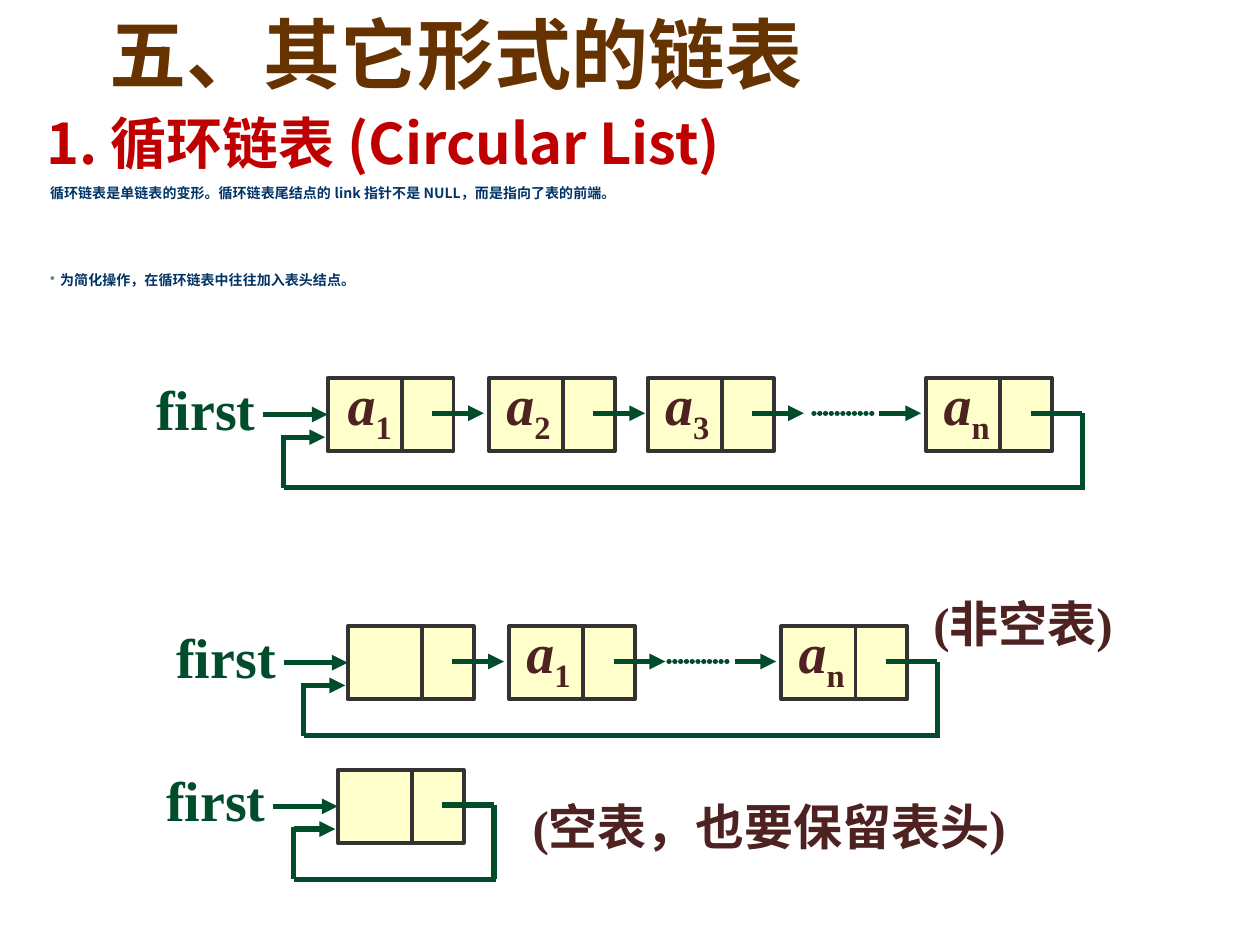
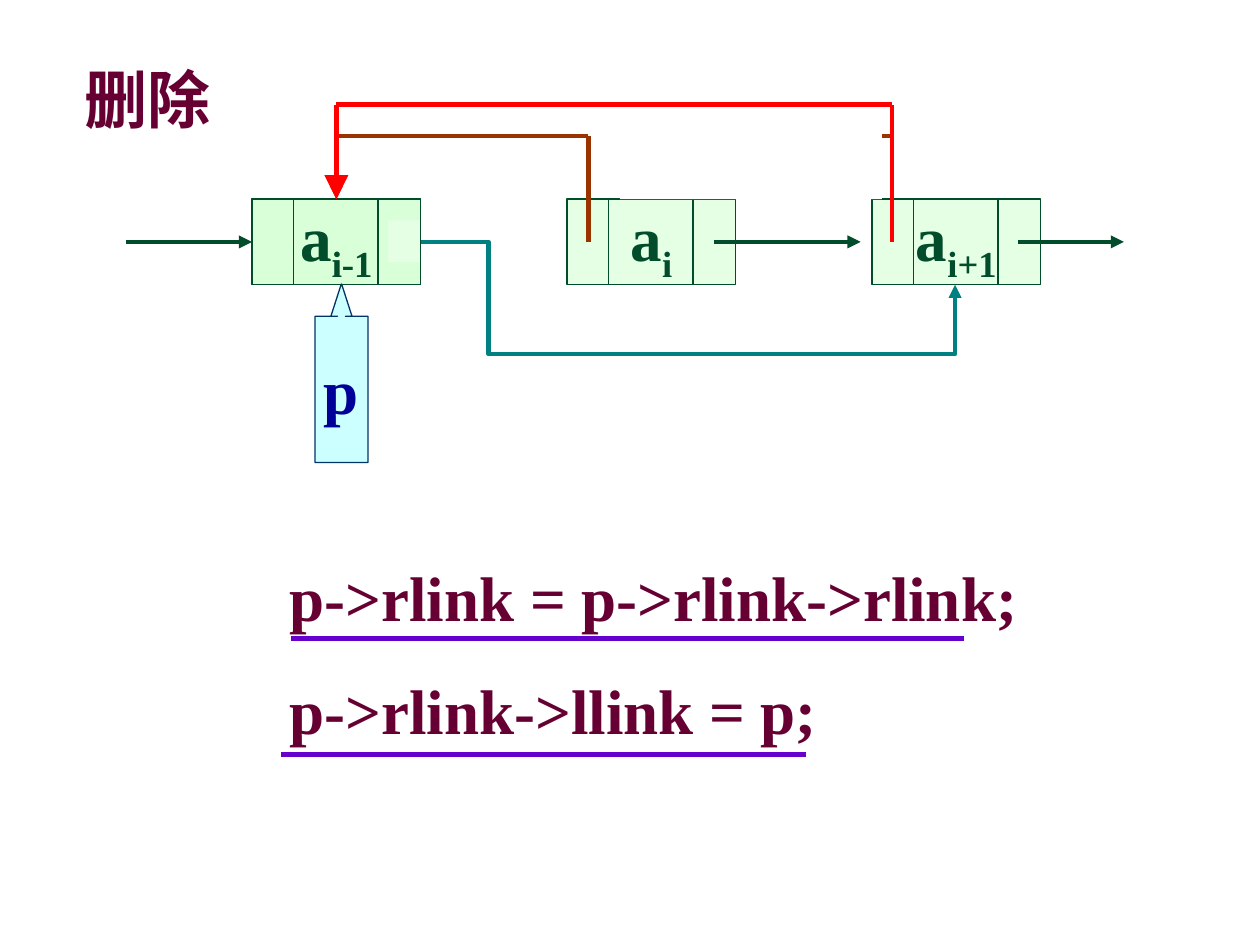
from dataclasses import dataclass
from itertools import pairwise
from typing import Any, Optional

from lxml.etree import SubElement
from pptx import Presentation
from pptx.dml.color import RGBColor
from pptx.enum.shapes import MSO_CONNECTOR, MSO_SHAPE
from pptx.enum.text import MSO_ANCHOR, MSO_AUTO_SIZE, PP_ALIGN
from pptx.oxml.ns import qn
from pptx.util import Pt

PX = 9144  # 100 px to the inch
SANS, SERIF = "Noto Sans CJK SC", "Times New Roman"
COLORS = {
    "title": "663300", "heading": "C00000", "body": "003366", "bullet": "578963",
    "link": "004C2B", "cell": "FFFFCC", "edge": "333333", "data": "4F2222",
    "double_cell": "CCFFCC", "code": "660033", "underline": "6600CC",
    "old_link": "993300", "new_left": "FF0000", "new_right": "008080",
    "callout": "CCFFFF", "callout_edge": "003366", "pointer": "000099",
    "white": "FFFFFF",
}


@dataclass(frozen=True)
class Style:
    size: int
    color: str
    font: str = SERIF
    italic: bool = False


@dataclass(frozen=True)
class Stroke:
    color: str
    width: float
    head: str = ""  # arrowhead size: med or lg
    dotted: bool = False


@dataclass(frozen=True)
class Box:
    x: int
    y: int
    w: int
    h: int


@dataclass(frozen=True)
class Node:
    x: int
    sub: str = ""
    label_dx: int = 4


@dataclass(frozen=True)
class Chain:
    y: int
    nodes: tuple[Node, ...]


TITLE = Style(44, "title")
HEADING = Style(32, "heading", SANS)
BODY = Style(8, "body", SANS)
FIRST = Style(32, "link")
DATA = Style(32, "data", italic=True)
NOTE = Style(28, "data")
CODE = Style(36, "code")
DOUBLE = Style(36, "link")
POINTER = Style(36, "pointer")

LINK = Stroke("link", 3)
ARROW = Stroke("link", 3, "med")
DOTS = Stroke("link", 3, dotted=True)
CELL_EDGE = Stroke("edge", 2.25)
THIN = Stroke("link", 0.75)
DOUBLE_ARROW = Stroke("link", 2.5, "med")
OLD_LINK = Stroke("old_link", 2.5)
UNDERLINE = Stroke("underline", 3)

CHAINS = (
    Chain(300, (Node(260, "1", 6), Node(388, "2"), Node(514, "3"), Node(735, "n"))),
    Chain(497, (Node(276), Node(404, "1"), Node(620, "n"))),
    Chain(611, (Node(268),)),
)

# Doubly linked nodes: shared top, size and link height
TOP, WIDTH, HEIGHT = 158, 134, 68
BOTTOM, MID_Y = TOP + HEIGHT, TOP + HEIGHT // 2


def rgb(name: str) -> RGBColor:
    return RGBColor.from_string(COLORS[name])


def set_format(obj: Any, values: dict[str, Any]) -> None:
    for key, value in values.items():
        setattr(obj, key, value)


# Text
def add_run(p: Any, text: str, style: Style, subscript: bool = False) -> None:
    r = p.add_run()
    r.text = text
    set_format(r.font, {"size": Pt(style.size), "name": style.font, "bold": True,
                        "italic": style.italic and not subscript})
    r.font.color.rgb = rgb(style.color)
    rPr = r._r.get_or_add_rPr()
    SubElement(rPr, qn("a:ea")).set("typeface", SANS)
    if subscript:
        rPr.set("baseline", "-25000")


def add_label(p: Any, text: str, style: Style, sub: str = "") -> None:
    add_run(p, text, style)
    if sub:
        add_run(p, sub, style, subscript=True)


def add_text(shapes: Any, box: Box, lines: tuple[str, ...], style: Style, sub: str = "",
             **frame: Any) -> Any:
    sp = shapes.add_textbox(box.x * PX, box.y * PX, box.w * PX, box.h * PX)
    tf = sp.text_frame
    set_format(tf, {"word_wrap": False, "auto_size": MSO_AUTO_SIZE.SHAPE_TO_FIT_TEXT} | frame)
    for i, line in enumerate(lines):
        p = tf.add_paragraph() if i else tf.paragraphs[0]
        add_label(p, line, style, sub)
    return tf


# Shapes and lines
def add_box(shapes: Any, box: Box, fill: str, stroke: Optional[Stroke] = None,
            kind: MSO_SHAPE = MSO_SHAPE.RECTANGLE) -> Any:
    sp = shapes.add_shape(kind, box.x * PX, box.y * PX, box.w * PX, box.h * PX)
    sp.shadow.inherit = False
    sp.fill.solid()
    sp.fill.fore_color.rgb = rgb(fill)
    if stroke:
        sp.line.color.rgb = rgb(stroke.color)
        sp.line.width = Pt(stroke.width)
    else:
        sp.line.fill.background()
    return sp


def center_label(sp: Any, text: str, style: Style, sub: str = "") -> None:
    tf = sp.text_frame
    set_format(tf, {"word_wrap": False, "vertical_anchor": MSO_ANCHOR.MIDDLE})
    p = tf.paragraphs[0]
    p.alignment = PP_ALIGN.CENTER
    add_label(p, text, style, sub)


def add_line(shapes: Any, x1: int, y1: int, x2: int, y2: int, stroke: Stroke,
             kind: MSO_CONNECTOR = MSO_CONNECTOR.STRAIGHT) -> Any:
    c = shapes.add_connector(kind, x1 * PX, y1 * PX, x2 * PX, y2 * PX)
    c.line.color.rgb = rgb(stroke.color)
    c.line.width = Pt(stroke.width)
    ln = c.line._get_or_add_ln()
    if stroke.dotted:
        ln.set("cap", "rnd")
        dash = SubElement(SubElement(ln, qn("a:custDash")), qn("a:ds"))
        dash.set("d", "100000")
        dash.set("sp", "10000")
    if stroke.head:
        tail = SubElement(ln, qn("a:tailEnd"))
        for key, value in {"type": "triangle", "w": stroke.head, "len": stroke.head}.items():
            tail.set(key, value)
    SubElement(c._element.spPr, qn("a:effectLst"))
    return c


def add_route(shapes: Any, points: tuple[tuple[int, int], ...], stroke: Stroke,
              head: str) -> Any:
    """Straight segments through the points, with an arrowhead on the last."""
    for (x1, y1), (x2, y2) in pairwise(points[:-1]):
        add_line(shapes, x1, y1, x2, y2, stroke)
    return add_line(shapes, *points[-2], *points[-1], Stroke(stroke.color, stroke.width, head))


# Circular lists
def add_node(shapes: Any, node: Node, y: int) -> Any:
    sp = add_box(shapes, Box(node.x, y, 100, 58), "cell", CELL_EDGE)
    add_line(shapes, node.x + 59, y, node.x + 59, y + 58, CELL_EDGE)
    if node.sub:
        add_text(shapes, Box(node.x + node.label_dx, y - 12, 58, 71), ("a",), DATA, node.sub)
    return sp


def add_chain(s: Any, chain: Chain) -> None:
    shapes = s.shapes.add_group_shape().shapes
    y, x, last = chain.y, chain.nodes[0].x, chain.nodes[-1].x
    link_y, bottom = y + 28, y + 87
    boxes = [add_node(shapes, node, y) for node in chain.nodes]

    # Pointer to the first node
    add_text(shapes, Box(x - 146, y - 8, 99, 64), ("first",), FIRST)
    c = add_line(shapes, x - 51, y + 29, x, y + 29, ARROW)
    c.end_connect(boxes[0], 1)

    # Links between nodes
    for node in chain.nodes:
        stroke = LINK if node is chain.nodes[-1] else ARROW
        add_line(shapes, node.x + 83, link_y, node.x + 124, link_y, stroke)
    if len(chain.nodes) > 1:
        add_line(shapes, last - 89, link_y, last - 39, link_y, DOTS)
        add_line(shapes, last - 37, link_y, last - 4, link_y, ARROW)

    # Way back from the last node to the first
    add_line(shapes, last + 124, link_y, last + 124, bottom, LINK)
    add_line(shapes, x - 35, bottom, last + 126, bottom, LINK)
    add_line(shapes, x - 35, y + 45, x - 35, bottom, LINK)
    add_line(shapes, x - 35, y + 47, x - 2, y + 47, ARROW)


def build_circular(s: Any) -> None:
    add_text(s.shapes, Box(27, 52, 835, 92), ("1. 循环链表 (Circular List)",), HEADING,
             word_wrap=True, auto_size=MSO_AUTO_SIZE.NONE, vertical_anchor=MSO_ANCHOR.BOTTOM)
    tf = add_text(s.shapes, Box(0, 143, 1000, 130), (
        "循环链表是单链表的变形。循环链表尾结点的 link 指针不是 NULL，而是指向了表的前端。",
        "为简化操作，在循环链表中往往加入表头结点。",
    ), BODY, word_wrap=True, auto_size=MSO_AUTO_SIZE.NONE)
    for p, before in zip(tf.paragraphs, (0, 41)):
        set_format(p, {"line_spacing": 0.9, "space_before": Pt(before)})
        pPr = p._p.get_or_add_pPr()
        pPr.set("marL", str(38 * PX))
        pPr.set("indent", str(-8 * PX))
    color = SubElement(SubElement(pPr, qn("a:buClr")), qn("a:srgbClr"))
    color.set("val", COLORS["bullet"])
    SubElement(pPr, qn("a:buChar")).set("char", "•")

    for chain in CHAINS:
        add_chain(s, chain)
    add_text(s.shapes, Box(413, 627, 416, 57), ("(空表，也要保留表头)",), NOTE)
    add_text(s.shapes, Box(731, 466, 183, 57), ("(非空表)",), NOTE)
    add_text(s.shapes, Box(77, 0, 574, 84), ("五、其它形式的链表",), TITLE)


# Doubly linked list
def add_double_node(shapes: Any, x: int, sub: str, divided: bool = True) -> Any:
    sp = add_box(shapes, Box(x, TOP, WIDTH, HEIGHT), "double_cell", THIN)
    color = sp.fill._xPr.find(qn("a:solidFill"))[0]
    SubElement(color, qn("a:alpha")).set("val", "50000")
    center_label(sp, "a", DOUBLE, sub)
    for dx in (33, 100) if divided else ():
        add_line(shapes, x + dx, TOP, x + dx, BOTTOM, THIN)
    return sp


def build_deletion(s: Any) -> None:
    shapes = s.shapes
    add_text(shapes, Box(57, 43, 122, 70), ("删除",), CODE)

    # Nodes and their right links
    group = shapes.add_group_shape().shapes
    previous = add_double_node(group, 200, "i-1", divided=False)
    c = add_line(group, 100, MID_Y, 200, MID_Y, DOUBLE_ARROW)
    c.end_connect(previous, 1)
    add_double_node(shapes.add_group_shape().shapes, 450, "i")
    group = shapes.add_group_shape().shapes
    add_double_node(group, 692, "i+1")
    for x1, x2 in ((567, 683), (808, 892)):
        add_line(group, x1, MID_Y, x2, MID_Y, DOUBLE_ARROW)

    # Statements
    tf = add_text(shapes, Box(220, 408, 600, 190),
                  ("p->rlink = p->rlink->rlink;", "p->rlink->llink = p;"), CODE)
    for p in tf.paragraphs:
        p.line_spacing = 1.5
    for x1, x2, y in ((231, 765, 507), (223, 640, 599)):
        add_line(shapes, x1, y, x2, y, UNDERLINE)

    # Old left links and the pointer p
    add_line(shapes, 708, 108, 517, 108, OLD_LINK)
    add_box(shapes, Box(308, 175, 133, 33), "white")
    sp = add_box(shapes, Box(250, 225, 42, 142), "callout", Stroke("callout_edge", 0.75),
                 MSO_SHAPE.UP_ARROW_CALLOUT)
    for i, value in enumerate((0.15, 0.2, 0.62, 1.25)):
        sp.adjustments[i] = value
    center_label(sp, "p", POINTER)
    old_left = add_route(shapes.add_group_shape().shapes,
                         ((467, MID_Y), (467, 108), (267, 108), (267, TOP)), OLD_LINK, "med")
    previous = add_double_node(shapes.add_group_shape().shapes, 200, "i-1")

    # New links around the deleted node
    c = add_line(shapes, 334, MID_Y, 758, BOTTOM, Stroke("new_right", 2.5, "med"),
                 MSO_CONNECTOR.ELBOW)
    geom = c._element.spPr.find(qn("a:prstGeom"))
    geom.set("prst", "bentConnector4")
    for name, value in (("adj1", 12700), ("adj2", 262000)):
        gd = SubElement(geom.find(qn("a:avLst")), qn("a:gd"))
        gd.set("name", name)
        gd.set("fmla", f"val {value}")
    new_left = add_route(shapes.add_group_shape().shapes,
                         ((708, MID_Y), (708, 83), (267, 83), (267, TOP)),
                         Stroke("new_left", 2.75), "lg")
    for c in (old_left, new_left):
        c.end_connect(previous, 0)
    add_box(shapes, Box(492, 100, 208, 58), "white")


def main() -> None:
    prs = Presentation()
    set_format(prs, {"slide_width": 1000 * PX, "slide_height": 750 * PX})
    for build in (build_circular, build_deletion):
        build(prs.slides.add_slide(prs.slide_layouts[6]))
    prs.save("out.pptx")


if __name__ == "__main__":
    main()
